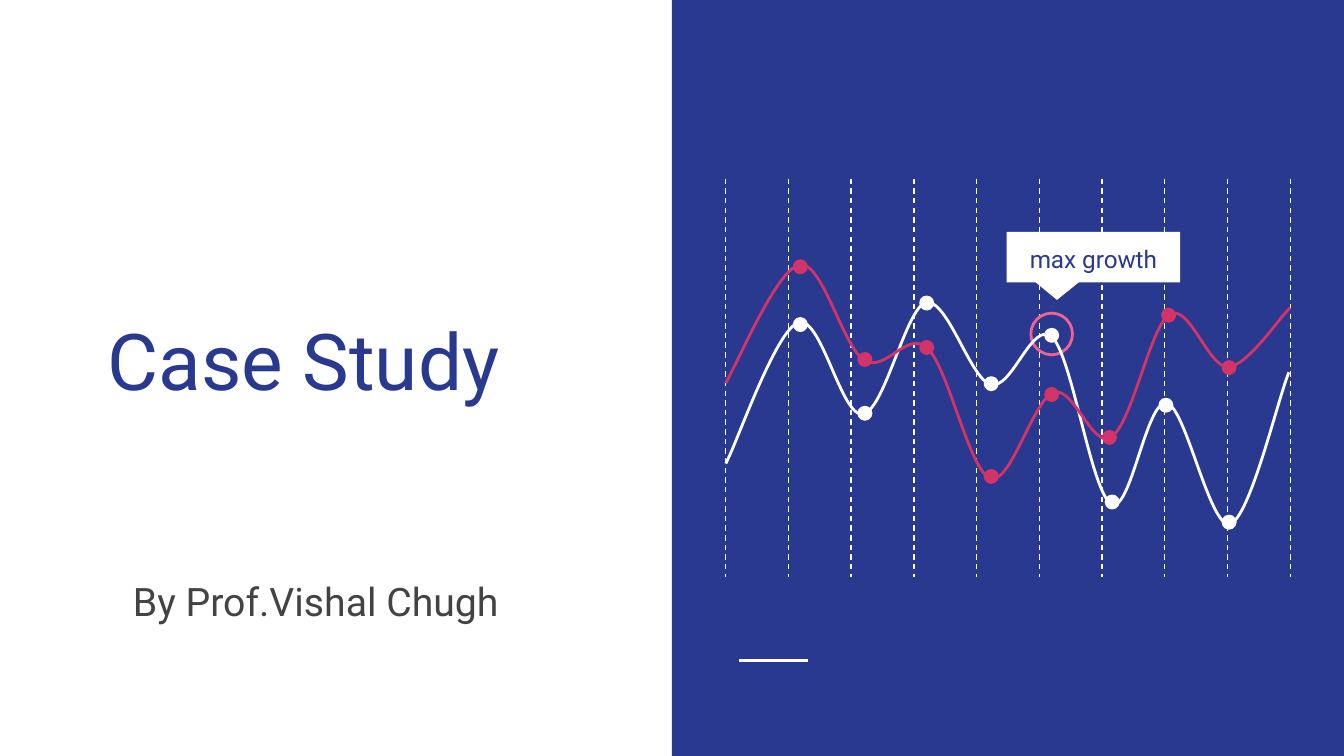
from dataclasses import dataclass
from typing import Optional

from lxml.etree import SubElement
from pptx import Presentation
from pptx.dml.color import RGBColor
from pptx.enum.dml import MSO_LINE_DASH_STYLE as Dash
from pptx.enum.shapes import MSO_CONNECTOR as Connector, MSO_SHAPE as Shape
from pptx.enum.text import MSO_ANCHOR as Anchor, MSO_AUTO_SIZE as AutoSize, PP_ALIGN as Align
from pptx.oxml.ns import qn
from pptx.util import Inches, Pt

COLORS = {
    "navy": "2A3990", "white": "FFFFFF", "crimson": "D23369",
    "pink": "F06292", "gray": "434343",
}
FONT = "Roboto"
WIDTH = Inches(10)
HEIGHT = WIDTH * 9 // 16
COLUMNS, ROWS = 100, 56.25
CELL = WIDTH / COLUMNS
MARKER_SIZE = 0.9
STROKE = 1.5
GRID_LEFT, GRID_RIGHT, GRID_TOP, GRID_BOTTOM = 54, 96, 13.3, 42.9
GRID_GAPS = 9

Point = tuple[float, float]


@dataclass
class Box:
    left: float
    top: float
    width: float
    height: float

    def emu(self) -> list[int]:
        return [cells(v) for v in (self.left, self.top, self.width, self.height)]


@dataclass
class Series:
    color: str
    start: Point
    curves: list[tuple[Point, Point, Point]]
    marker_corners: list[Point]


def cells(count: float) -> int:
    return round(count * CELL)


def rgb(name: str) -> RGBColor:
    return RGBColor.from_string(COLORS[name])


def set_line(shape, color: Optional[str], width: float = STROKE) -> None:
    if color is None:
        shape.line.fill.background()
    else:
        shape.line.color.rgb = rgb(color)
        shape.line.width = Pt(width)


def draw_shape(shapes, kind: Shape, box: Box, fill: Optional[str], line: Optional[str] = None):
    shape = shapes.add_shape(kind, *box.emu())
    shape.shadow.inherit = False
    if fill is None:
        shape.fill.background()
    else:
        shape.fill.solid()
        shape.fill.fore_color.rgb = rgb(fill)
    set_line(shape, line)
    return shape


def draw_line(shapes, start: Point, end: Point, width: float, dashed: bool = False) -> None:
    line = shapes.add_connector(Connector.STRAIGHT, *map(cells, start + end))
    set_line(line, "white", width)
    if dashed:
        line.line.dash_style = Dash.DASH
    SubElement(line._element.spPr, qn("a:effectLst"))


def write(shape, text: str, size: float, color: str, anchor: Anchor, spacing: float = 1.0) -> None:
    frame = shape.text_frame
    frame.text = text
    frame.word_wrap = True
    frame.auto_size = AutoSize.NONE
    frame.vertical_anchor = anchor
    frame.margin_left = frame.margin_right = cells(1)
    frame.margin_top = frame.margin_bottom = cells(1)
    paragraph = frame.paragraphs[0]
    paragraph.alignment = Align.CENTER
    paragraph.line_spacing = spacing
    paragraph.font.name = FONT
    paragraph.font.size = Pt(size)
    paragraph.font.color.rgb = rgb(color)


def draw_series(shapes, series: Series) -> None:
    group = shapes.add_group_shape().shapes
    builder = group.build_freeform(*map(cells, series.start))
    points = [(cells(x), cells(y)) for curve in series.curves for x, y in curve]
    builder.add_line_segments(points, close=False)
    trend = builder.convert_to_shape()
    trend.shadow.inherit = False
    trend.fill.background()
    set_line(trend, series.color)
    segments = list(trend._element.iter(qn("a:lnTo")))
    for first in range(0, len(segments), 3):
        outline = segments[first].getparent()
        bezier = SubElement(outline, qn("a:cubicBezTo"))
        for segment in segments[first:first + 3]:
            bezier.append(segment[0])
            outline.remove(segment)
    for left, top in series.marker_corners:
        marker = Box(left, top, MARKER_SIZE, MARKER_SIZE)
        draw_shape(group, Shape.OVAL, marker, series.color, series.color)


WHITE_SERIES = Series(
    "white", (54, 34.5),
    [((54.9, 32.8), (57.7, 24.6), (59.4, 24)),
     ((61.1, 23.4), (62.6, 31.1), (64.2, 30.8)),
     ((65.8, 30.6), (67.4, 22.9), (68.9, 22.5)),
     ((70.5, 22.2), (72.2, 28.2), (73.7, 28.6)),
     ((75.3, 29.1), (76.8, 23.7), (78.3, 25.1)),
     ((79.8, 26.6), (81.2, 36.7), (82.7, 37.5)),
     ((84.1, 38.3), (85.3, 29.7), (86.8, 30)),
     ((88.2, 30.2), (90, 39.3), (91.5, 39)),
     ((93, 38.6), (95.1, 29.6), (95.9, 27.7))],
    [(91, 38.4), (86.3, 29.7), (82.3, 36.9), (77.8, 24.5),
     (73.3, 28.1), (68.5, 22.1), (63.9, 30.3), (59.1, 23.7)],
)
CRIMSON_SERIES = Series(
    "crimson", (54, 28.5),
    [((54.9, 27), (57.8, 20), (59.5, 19.7)),
     ((61.2, 19.4), (62.7, 25.8), (64.3, 26.8)),
     ((65.9, 27.8), (67.5, 24.5), (69, 25.9)),
     ((70.6, 27.4), (72.1, 35), (73.7, 35.6)),
     ((75.2, 36.1), (76.9, 29.7), (78.4, 29.2)),
     ((79.9, 28.7), (81.3, 33.5), (82.7, 32.5)),
     ((84.2, 31.6), (85.6, 24.3), (87, 23.4)),
     ((88.5, 22.5), (89.9, 27.4), (91.4, 27.3)),
     ((92.9, 27.2), (95.2, 23.6), (96, 22.9))],
    [(59.1, 19.4), (63.9, 26.3), (68.5, 25.4), (73.3, 35),
     (77.8, 28.9), (82.1, 32.1), (86.5, 23), (91, 26.9)],
)


def main() -> None:
    deck = Presentation()
    deck.slide_width, deck.slide_height = WIDTH, HEIGHT
    slide = deck.slides.add_slide(deck.slide_layouts[5])
    shapes = slide.shapes

    draw_shape(shapes, Shape.RECTANGLE, Box(COLUMNS / 2, 0, COLUMNS / 2, ROWS), "navy")
    draw_line(shapes, (55, 49.15), (60.1, 49.15), STROKE)

    gridlines = shapes.add_group_shape().shapes
    for index in range(GRID_GAPS + 1):
        x = GRID_LEFT + index * (GRID_RIGHT - GRID_LEFT) / GRID_GAPS
        draw_line(gridlines, (x, GRID_TOP), (x, GRID_BOTTOM), 0.75, dashed=True)

    title = shapes.title
    title.left, title.top, title.width, title.height = Box(0.5, 21, 44.2, 10.2).emu()
    write(title, "Case Study", 42, "navy", Anchor.BOTTOM)
    author = shapes.add_textbox(*Box(1.4, 41.95, 44.2, 5.6).emu())
    write(author, "By Prof.Vishal Chugh", 21, "gray", Anchor.TOP)

    draw_shape(shapes, Shape.OVAL, Box(76.7, 23.3, 3.1, 3.1), None, "pink")
    draw_series(shapes, WHITE_SERIES)
    callout = draw_shape(shapes, Shape.ROUNDED_RECTANGULAR_CALLOUT,
                         Box(74.9, 17.25, 12.9, 3.75), "white")
    for index, value in enumerate((-0.21, 0.85, 0)):
        callout.adjustments[index] = value
    write(callout, "max growth", 13, "navy", Anchor.MIDDLE, 1.15)
    draw_series(shapes, CRIMSON_SERIES)

    deck.save("out.pptx")


if __name__ == "__main__":
    main()
